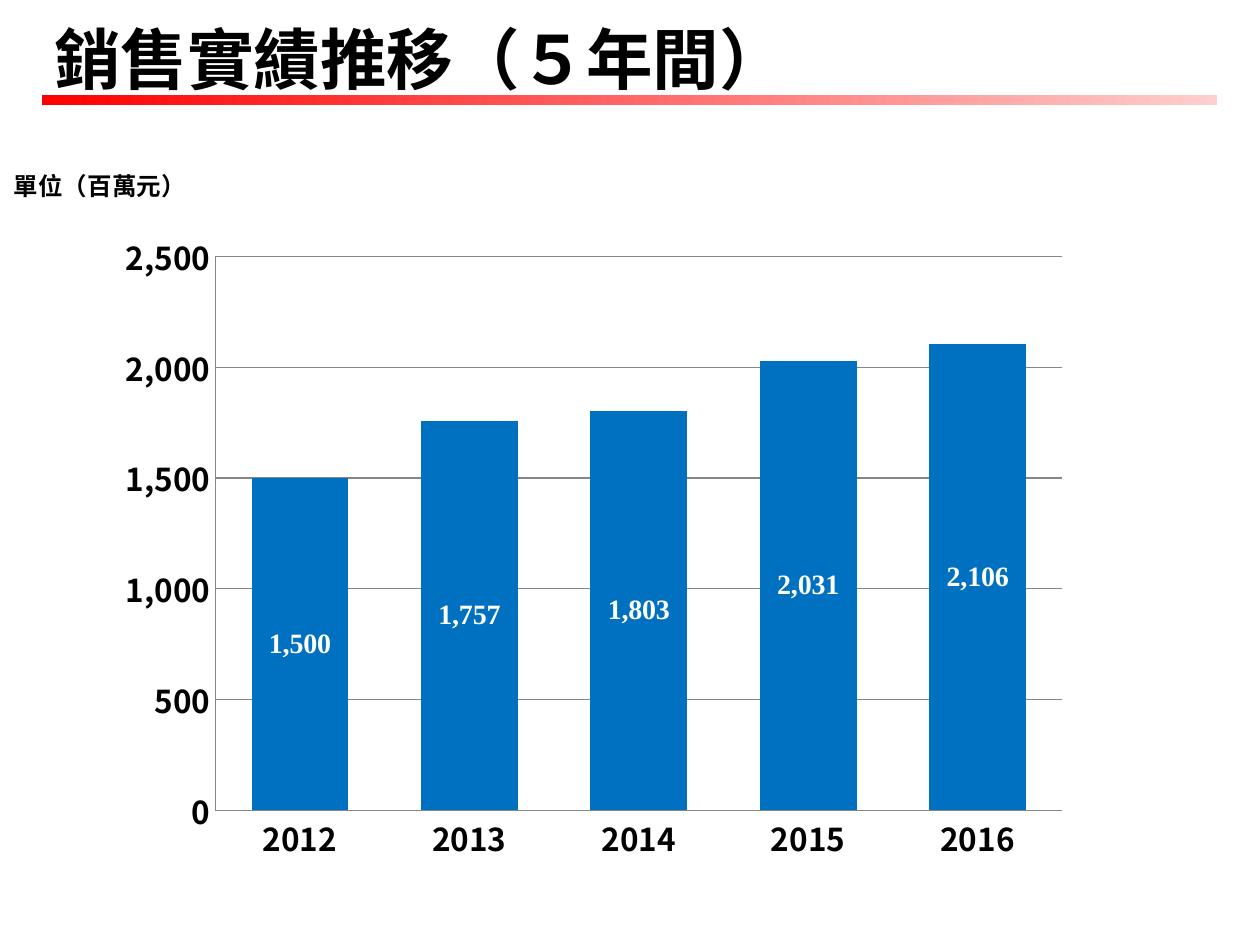
from lxml import etree
from pptx import Presentation
from pptx.chart.data import CategoryChartData
from pptx.dml.color import RGBColor
from pptx.enum.chart import XL_CHART_TYPE, XL_LABEL_POSITION, XL_TICK_MARK
from pptx.enum.shapes import MSO_SHAPE
from pptx.enum.text import MSO_ANCHOR, PP_ALIGN
from pptx.oxml import parse_xml
from pptx.oxml.ns import nsdecls, qn
from pptx.util import Cm, Pt

COLUMN = XL_CHART_TYPE.COLUMN_CLUSTERED
LABEL_CENTER = XL_LABEL_POSITION.CENTER
NO_TICK = XL_TICK_MARK.NONE
RECTANGLE = MSO_SHAPE.RECTANGLE
MIDDLE = MSO_ANCHOR.MIDDLE
LEFT, CENTER = PP_ALIGN.LEFT, PP_ALIGN.CENTER

BLACK = RGBColor(0x00, 0x00, 0x00)
WHITE = RGBColor(0xFF, 0xFF, 0xFF)
RED = RGBColor(0xFF, 0x00, 0x00)
PINK = RGBColor(0xFF, 0xCE, 0xCE)
BLUE = RGBColor(0x00, 0x70, 0xC0)
GRAY = RGBColor(0x86, 0x86, 0x86)

TEXT_FONT = "Noto Sans CJK SC"
AXIS_FONT = "Noto Sans CJK JP"
LABEL_FONT = "Times New Roman"

SALES = {"2012": 1500, "2013": 1757, "2014": 1803, "2015": 2031, "2016": 2106}


def style_font(font, name, size, color, bold=True):
    """Set the face, size, colour and weight of a font."""
    font.name = name
    font.size = Pt(size)
    font.bold = bold
    font.color.rgb = color


def add_text(slide, box, text, size, alignment, wrap):
    """Add one bold line of text, vertically centred in the box."""
    shape = slide.shapes.add_textbox(*box)
    frame = shape.text_frame
    frame.word_wrap = wrap
    frame.vertical_anchor = MIDDLE
    paragraph = frame.paragraphs[0]
    paragraph.alignment = alignment
    run = paragraph.add_run()
    run.text = text
    style_font(run.font, TEXT_FONT, size, BLACK)
    east_asian = etree.SubElement(run.font._element, qn("a:ea"))
    east_asian.set("typeface", TEXT_FONT)


def add_header(slide, left, top, width, height):
    """Place the title above a fading red rule along the bottom of the box."""
    rule_height = Cm(0.2)
    title_height = height - rule_height
    rule = slide.shapes.add_shape(
        RECTANGLE, left, top + title_height, width, rule_height
    )
    rule.shadow.inherit = False
    rule.line.fill.background()
    rule.fill.gradient()
    rule.fill.gradient_angle = 0
    for stop, color, position in zip(rule.fill.gradient_stops, (RED, PINK), (0, 1)):
        stop.color.rgb = color
        stop.position = position
    title_box = (left, top, Cm(16.4), title_height)
    add_text(slide, title_box, "銷售實績推移（５年間）", 38, LEFT, True)


def style_axis(axis):
    """Give an axis its bold labels and thin gray line without ticks."""
    axis.major_tick_mark = NO_TICK
    axis.minor_tick_mark = NO_TICK
    axis.format.line.color.rgb = GRAY
    axis.format.line.width = Pt(0.75)
    style_font(axis.tick_labels.font, AXIS_FONT, 18, BLACK)


def set_plot_layout(chart, x, y, width, height):
    """Fix the inner plot area as fractions of the chart box."""
    plot_area = chart._chartSpace.chart.plotArea
    for layout in plot_area.findall(qn("c:layout")):
        plot_area.remove(layout)
    plot_area.insert(0, parse_xml(
        f'<c:layout {nsdecls("c")}><c:manualLayout>'
        '<c:layoutTarget val="inner"/><c:xMode val="edge"/><c:yMode val="edge"/>'
        f'<c:x val="{x}"/><c:y val="{y}"/><c:w val="{width}"/><c:h val="{height}"/>'
        "</c:manualLayout></c:layout>"
    ))


def add_sales_chart(slide, left, top, width, height):
    """Place the yearly sales column chart in the box."""
    chart_data = CategoryChartData(number_format="#,##0")
    chart_data.categories = list(SALES)
    chart_data.add_series("Series 1", list(SALES.values()))
    frame = slide.shapes.add_chart(COLUMN, left, top, width, height, chart_data)
    chart = frame.chart
    chart.has_legend = False
    chart.has_title = False
    style_font(chart.font, LABEL_FONT, 10, BLACK, False)
    set_plot_layout(chart, 0.11, 0.05, 0.87, 0.85)

    value_axis = chart.value_axis
    style_axis(chart.category_axis)
    style_axis(value_axis)
    value_axis.minimum_scale = 0
    value_axis.maximum_scale = 2500
    value_axis.major_unit = 500
    value_axis.tick_labels.number_format = "#,##0"
    value_axis.tick_labels.number_format_is_linked = False
    value_axis.has_major_gridlines = True
    gridline = value_axis.major_gridlines.format.line
    gridline.color.rgb = GRAY
    gridline.width = Pt(0.75)

    plot = chart.plots[0]
    plot.gap_width = 75
    plot.overlap = 40
    plot.vary_by_categories = False
    series = plot.series[0]
    series.format.fill.solid()
    series.format.fill.fore_color.rgb = BLUE
    labels = series.data_labels
    labels.show_value = True
    labels.position = LABEL_CENTER
    labels.number_format = "#,##0"
    labels.number_format_is_linked = False
    style_font(labels.font, LABEL_FONT, 16, WHITE)


def main():
    """Build and save the sales slide."""
    presentation = Presentation()
    presentation.slide_width = Cm(25.4)
    presentation.slide_height = Cm(19.05)
    slide = presentation.slides.add_slide(presentation.slide_layouts[6])
    add_header(slide, Cm(0.84), Cm(0.43), Cm(23.7), Cm(1.68))
    unit_box = (Cm(-0.03), Cm(3.33), Cm(4.09), Cm(0.84))
    add_text(slide, unit_box, "單位（百萬元）", 14, CENTER, False)
    add_sales_chart(slide, Cm(2.18), Cm(4.52), Cm(19.63), Cm(13.13))
    presentation.save("out.pptx")


if __name__ == "__main__":
    main()
